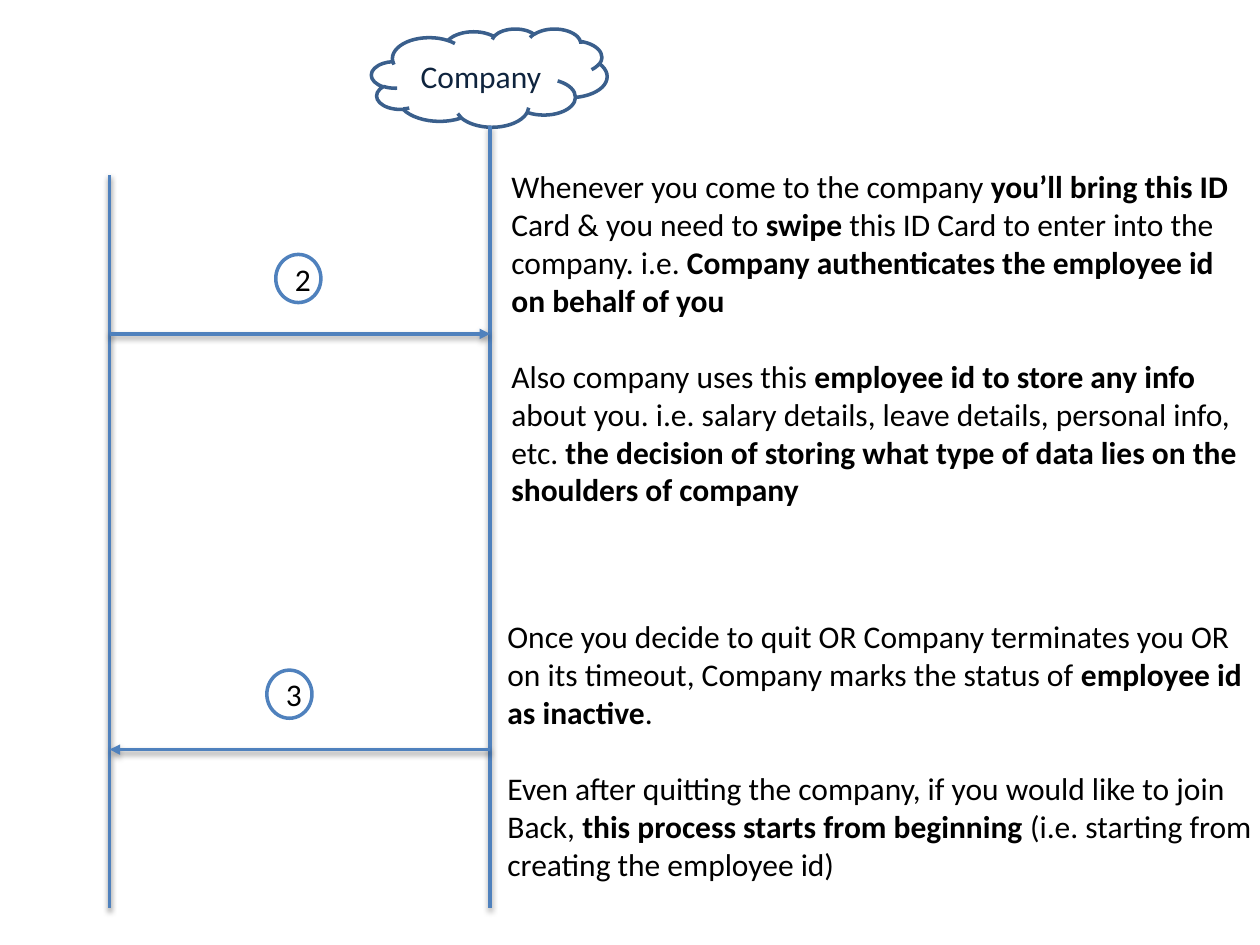
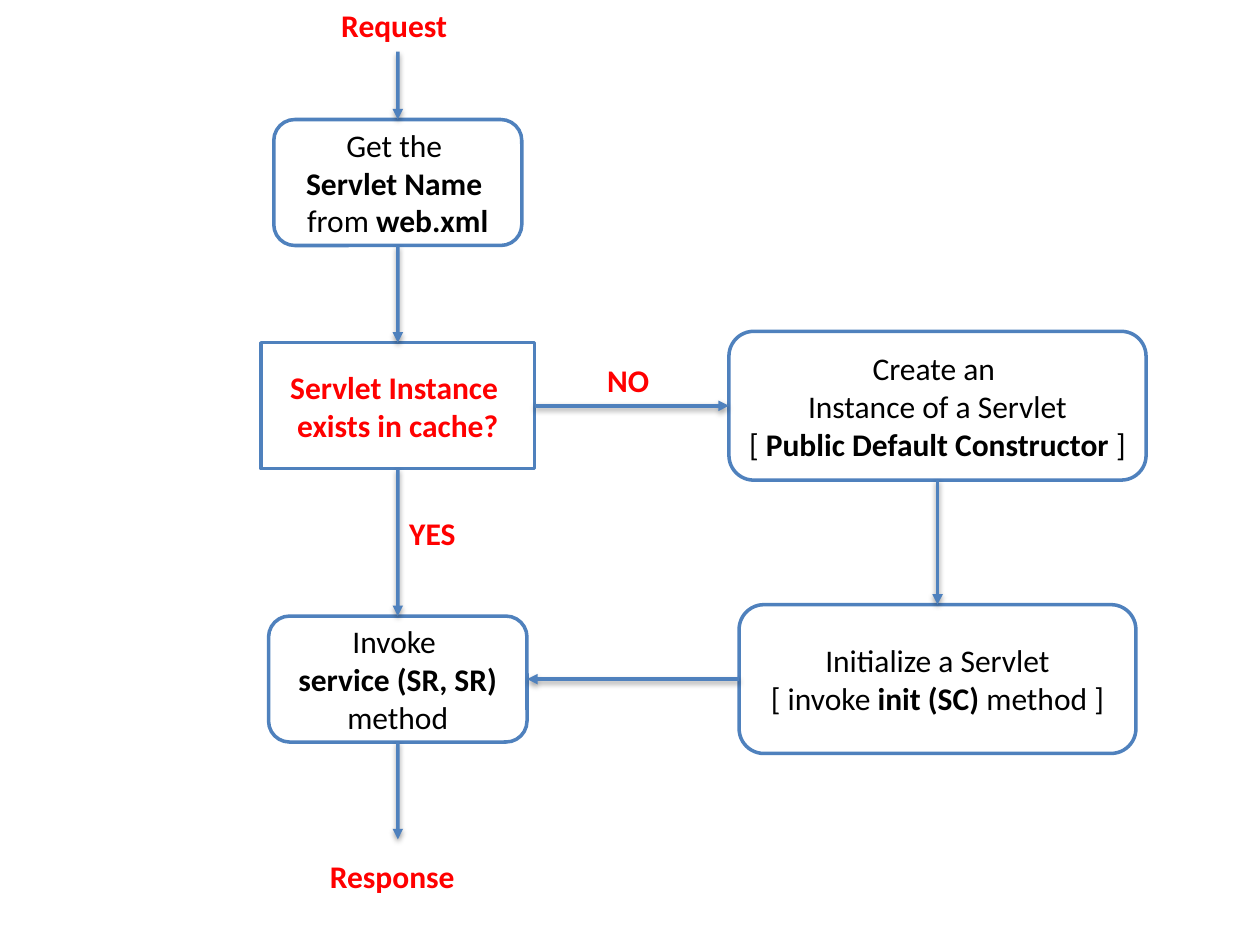
from dataclasses import dataclass

from lxml.etree import SubElement
from pptx import Presentation
from pptx.dml.color import RGBColor
from pptx.enum.shapes import MSO_CONNECTOR, MSO_SHAPE as Preset
from pptx.enum.text import MSO_ANCHOR as Anchor, MSO_AUTO_SIZE as AutoSize, PP_ALIGN as Align
from pptx.oxml.ns import qn
from pptx.util import Cm, Pt


@dataclass(frozen=True)
class Theme:
    font: str = "Calibri"
    size: int = 18
    block_gap: int = 22
    line_width: int = 2
    blue: str = "4F81BD"
    dark_blue: str = "3A5F8C"
    navy: str = "0F243E"
    black: str = "000000"
    red: str = "FF0000"
    white: str = "FFFFFF"


THEME = Theme()

# Content: ** switches bold on and off, each line is one paragraph.
# Slide 1, explanations: left, top, width, height, blocks of lines
EXPLANATIONS = [
    (10.06, 3.25, 15.44, 7.19, [
        ["Whenever you come to the company **you’ll bring this ID ",
         "Card & you need to **swipe** this ID Card to enter into the ",
         "company. i.e. **Company authenticates the employee id ",
         "**on behalf of you"],
        ["Also company uses this **employee id to store any info ",
         "about you. i.e. salary details, leave details, personal info, ",
         "etc. **the decision of storing what type of data lies on the ",
         "**shoulders of company"],
    ]),
    (9.98, 12.32, 15.8, 5.64, [
        ["Once you decide to quit OR Company terminates you OR ",
         "on its timeout, Company marks the status of **employee id ",
         "**as inactive**."],
        ["Even after quitting the company, if you would like to join ",
         "Back, **this process starts from beginning **(i.e. starting from ",
         "creating the employee id)"],
    ]),
]
EMPLOYEE_X, COMPANY_X, LIFELINE_END = 2.21, 9.88, 18.31
LIFELINES = [(EMPLOYEE_X, 3.53), (COMPANY_X, 2.54)]  # x, top
# Step number, its left and top, then arrow start, arrow end and arrow height
STEPS = [
    ("2", 5.56, 5.13, EMPLOYEE_X, COMPANY_X, 6.73),
    ("3", 5.38, 13.51, COMPANY_X, EMPLOYEE_X, 15.11),
]

# Slide 2, flow chart: boxes sit centred on two columns and three rows
MAIN_X, CREATE_X = 8.02, 18.9
ROWS = [3.68, 8.18, 13.69]
BOXES = {  # name: preset, column, row, width, height, colour, lines
    "name": (Preset.ROUNDED_RECTANGLE, MAIN_X, 0, 5.0, 2.54, THEME.black,
             ["Get the ", "**Servlet Name ", "from **web.xml"]),
    "cache": (Preset.RECTANGLE, MAIN_X, 1, 5.51, 2.54, THEME.red,
              ["**Servlet Instance ", "**exists in cache?"]),
    "service": (Preset.ROUNDED_RECTANGLE, MAIN_X, 2, 5.21, 2.54, THEME.black,
                ["Invoke ", "**service (SR, SR)** method"]),
    "create": (Preset.ROUNDED_RECTANGLE, CREATE_X, 1, 8.41, 3.0, THEME.black,
               ["Create an ", "Instance of a Servlet",
                "[ **Public Default Constructor **]"]),
    "initialize": (Preset.ROUNDED_RECTANGLE, CREATE_X, 2, 8.0, 3.0, THEME.black,
                   ["Initialize a Servlet", "[ invoke **init (SC) **method ]"]),
}
TOP, LEFT, BOTTOM, RIGHT = range(4)  # connection sites of a box
FLOWS = [
    ("name", BOTTOM, "cache", TOP),
    ("cache", RIGHT, "create", LEFT),
    ("create", BOTTOM, "initialize", TOP),
    ("initialize", LEFT, "service", RIGHT),
    ("cache", BOTTOM, "service", TOP),
]
REQUEST_START, RESPONSE_END = 1.04, 16.92
LABELS = [  # text, left, top, width
    ("Request", 6.63, 0, 2.72),
    ("Response", 6.4, 17.15, 3.23),
    ("NO", 11.99, 7.16, 1.55),
    ("YES", 8.0, 10.24, 1.55),
]


def colour(value):
    return RGBColor.from_string(value)


def write(shape, blocks, text_colour, align=Align.LEFT):
    """Fill a shape with blocks of lines, with a gap before each later block."""
    frame = shape.text_frame
    lines = [(line, block_number > 0 and line_number == 0)
             for block_number, block in enumerate(blocks)
             for line_number, line in enumerate(block)]
    for number, (line, starts_block) in enumerate(lines):
        paragraph = frame.add_paragraph() if number else frame.paragraphs[0]
        paragraph.alignment = align
        if starts_block:
            paragraph.space_before = Pt(THEME.block_gap)
        for part, text in enumerate(line.split("**")):
            if not text:
                continue
            run = paragraph.add_run()
            run.text = text
            run.font.name = THEME.font
            run.font.size = Pt(THEME.size)
            run.font.bold = part % 2 == 1
            run.font.color.rgb = colour(text_colour)


def add_box(slide, preset, place, lines, text_colour=THEME.black,
            line_colour=THEME.blue, fill=None):
    shape = slide.shapes.add_shape(preset, *map(Cm, place))
    shape.shadow.inherit = False
    if fill:
        shape.fill.solid()
        shape.fill.fore_color.rgb = colour(fill)
    else:
        shape.fill.background()
    shape.line.color.rgb = colour(line_colour)
    shape.line.width = Pt(THEME.line_width)
    shape.text_frame.word_wrap = True
    shape.text_frame.vertical_anchor = Anchor.MIDDLE
    write(shape, [lines], text_colour, Align.CENTER)
    return shape


def add_text(slide, place, blocks, text_colour=THEME.black, wrap=True):
    box = slide.shapes.add_textbox(*map(Cm, place))
    box.text_frame.word_wrap = wrap
    box.text_frame.auto_size = AutoSize.SHAPE_TO_FIT_TEXT
    write(box, blocks, text_colour)


def add_line(slide, start=(0, 0), end=(0, 0), arrow=True):
    """Draw a line with a soft shadow below it."""
    line = slide.shapes.add_connector(MSO_CONNECTOR.STRAIGHT, *map(Cm, (*start, *end)))
    line.line.color.rgb = colour(THEME.blue)
    line.line.width = Pt(THEME.line_width)
    properties = line._element.spPr
    if arrow:
        SubElement(properties.find(qn("a:ln")), qn("a:tailEnd"), type="triangle")
    effects = SubElement(properties, qn("a:effectLst"))
    shadow = SubElement(effects, qn("a:outerShdw"), blurRad="40000", dist="20000",
                        dir="5400000", rotWithShape="0")
    tint = SubElement(shadow, qn("a:srgbClr"), val=THEME.black)
    SubElement(tint, qn("a:alpha"), val="38000")
    return line


def build_company_slide(slide):
    add_box(slide, Preset.CLOUD, (7.49, 0.58, 4.75, 1.98), ["Company"],
            THEME.navy, THEME.dark_blue)
    for x, top in LIFELINES:
        add_line(slide, (x, top), (x, LIFELINE_END), arrow=False)
    for *place, blocks in EXPLANATIONS:
        add_text(slide, place, blocks, wrap=False)
    for number, left, top, start, end, y in STEPS:
        add_line(slide, (start, y), (end, y))
        add_box(slide, Preset.FLOWCHART_CONNECTOR, (left, top, 0.91, 0.97), [number])


def build_servlet_slide(slide):
    # Boxes
    boxes = {}
    for name, (preset, x, row, width, height, text_colour, lines) in BOXES.items():
        place = (x - width / 2, ROWS[row] - height / 2, width, height)
        boxes[name] = add_box(slide, preset, place, lines, text_colour, fill=THEME.white)
    # Arrows in, out and between the boxes
    request = add_line(slide, (MAIN_X, REQUEST_START))
    request.end_connect(boxes["name"], TOP)
    response = add_line(slide, end=(MAIN_X, RESPONSE_END))
    response.begin_connect(boxes["service"], BOTTOM)
    for source, source_site, target, target_site in FLOWS:
        flow = add_line(slide)
        flow.begin_connect(boxes[source], source_site)
        flow.end_connect(boxes[target], target_site)
    # Red labels
    for text, left, top, width in LABELS:
        add_text(slide, (left, top, width, 1.02), [["**" + text]], THEME.red)


presentation = Presentation()
presentation.slide_width, presentation.slide_height = Cm(25.4), Cm(19.05)
for build in (build_company_slide, build_servlet_slide):
    build(presentation.slides.add_slide(presentation.slide_layouts[6]))
presentation.save("out.pptx")
